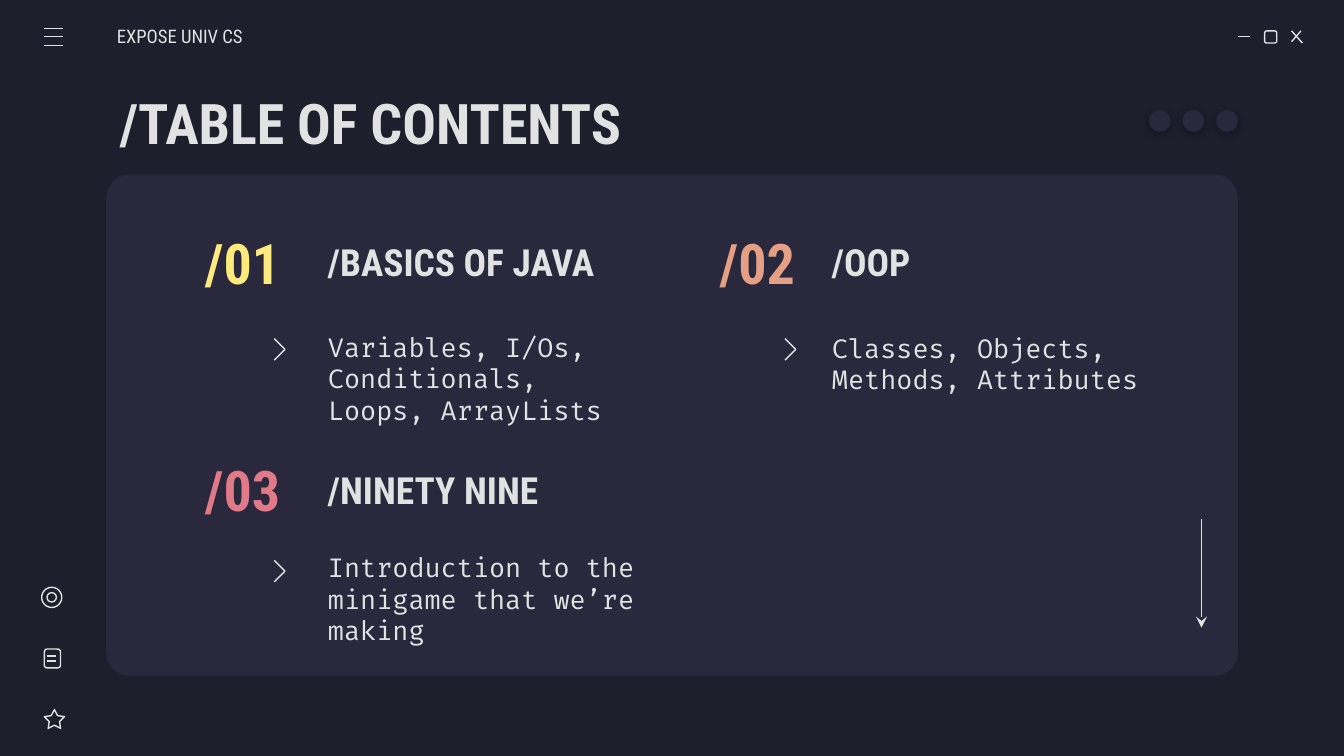
from dataclasses import dataclass

from lxml.etree import SubElement
from pptx import Presentation
from pptx.dml.color import RGBColor
from pptx.enum.shapes import MSO_CONNECTOR, MSO_SHAPE
from pptx.enum.text import MSO_ANCHOR, MSO_AUTO_SIZE, PP_ALIGN
from pptx.oxml.ns import qn
from pptx.util import Inches, Pt


@dataclass(frozen=True)
class Theme:
    background: str = "1E1E2C"
    panel: str = "29283D"
    light: str = "E2E2E2"
    yellow: str = "FFEA7D"
    orange: str = "E5A083"
    red: str = "E07A88"
    display: str = "Roboto Condensed"
    code: str = "Fira Code"
    large: float = 30
    heading: float = 20
    body: float = 14
    small: float = 10
    stroke: float = 0.75


THEME = Theme()


def write(box, text, size, font=THEME.display, color=THEME.light, bold=False,
          align=PP_ALIGN.LEFT, left_inset=0.1):
    frame = box.text_frame
    frame.word_wrap = True
    frame.auto_size = MSO_AUTO_SIZE.NONE
    frame.vertical_anchor = MSO_ANCHOR.MIDDLE
    frame.margin_left = Inches(left_inset)
    frame.margin_right = frame.margin_top = frame.margin_bottom = Inches(0.1)
    para = frame.paragraphs[0]
    para.alignment = align
    para.space_before = Pt(0)
    properties = para._p.get_or_add_pPr()
    properties.set("marL", "0")
    properties.set("indent", "0")
    SubElement(properties, qn("a:buNone"))
    span = para.add_run()
    span.text = text
    span.font.name = font
    span.font.size = Pt(size)
    span.font.bold = bold
    span.font.color.rgb = RGBColor.from_string(color)


class Canvas:
    def __init__(self, slide, theme):
        self.slide = slide
        self.theme = theme
        self.shapes = slide.shapes
        self.bodies = [box for box in slide.placeholders
                       if box.placeholder_format.idx != 0]
        slide.background.fill.solid()
        slide.background.fill.fore_color.rgb = RGBColor.from_string(theme.background)

    def place(self, box, left, top, width, height):
        box.left, box.top = Inches(left), Inches(top)
        box.width, box.height = Inches(width), Inches(height)
        return box

    def title(self, text, *at):
        write(self.place(self.shapes.title, *at), text, self.theme.large, bold=True)

    def body(self, text, *at, **style):
        write(self.place(self.bodies.pop(0), *at), text, **style)

    def label(self, text, *at, **style):
        box = self.shapes.add_textbox(*map(Inches, at))
        write(box, text, bold=True, **style)

    def stroke(self, item):
        item.line.color.rgb = RGBColor.from_string(self.theme.light)
        item.line.width = Pt(self.theme.stroke)

    def shape(self, kind, *at, fill=None, adjust=None):
        item = self.shapes.add_shape(kind, *map(Inches, at))
        item.shadow.inherit = False
        if adjust is not None:
            item.adjustments[0] = adjust
        if fill:
            item.fill.solid()
            item.fill.fore_color.rgb = RGBColor.from_string(fill)
            item.line.fill.background()
        else:
            item.fill.background()
            self.stroke(item)
        return item

    def panel(self, *at, adjust):
        item = self.shape(MSO_SHAPE.ROUNDED_RECTANGLE, *at,
                          fill=self.theme.panel, adjust=adjust)
        self.shapes._spTree.insert(2, item._element)  # behind the text

    def dot(self, left, top, size):
        item = self.shape(MSO_SHAPE.OVAL, left, top, size, size, fill=self.theme.panel)
        effects = item._element.spPr.find(qn("a:effectLst"))
        shadow = SubElement(effects, qn("a:outerShdw"), blurRad=str(Pt(4.5)),
                            dist=str(Pt(1.5)), dir="5400000", algn="bl",
                            rotWithShape="0")
        black = SubElement(shadow, qn("a:srgbClr"), val="000000")
        SubElement(black, qn("a:alpha"), val="30000")

    def line(self, *ends, arrow=False):
        item = self.shapes.add_connector(MSO_CONNECTOR.STRAIGHT, *map(Inches, ends))
        self.stroke(item)
        if arrow:
            SubElement(item.line._get_or_add_ln(), qn("a:tailEnd"), type="stealth")
        SubElement(item._element.spPr, qn("a:effectLst"))

    def chevron(self, left, top):
        width, height = 0.08, 0.16
        builder = self.shapes.build_freeform(Inches(left), Inches(top))
        builder.add_line_segments(
            [(Inches(left + width), Inches(top + height / 2)),
             (Inches(left), Inches(top + height))], close=False)
        item = builder.convert_to_shape()
        item.shadow.inherit = False
        item.fill.background()
        self.stroke(item)


deck = Presentation()
deck.slide_width = Inches(10)
deck.slide_height = deck.slide_width * 9 // 16
comparison_layout = deck.slide_layouts[4]
canvas = Canvas(deck.slides.add_slide(comparison_layout), THEME)

# Panel, title and header
canvas.panel(0.79, 1.3, 8.42, 3.73, adjust=0.047)
canvas.title("/TABLE OF CONTENTS", 0.79, 0.59, 8.43, 0.63)
canvas.body("EXPOSE UNIV CS", 0.87, 0.12, 1.17, 0.3,
            size=THEME.small, left_inset=0)

# Sections: number, heading, text, colour, number left, heading left, top, text top
sections = [
    ("/01", "/BASICS OF JAVA", "Variables, I/Os, Conditionals, Loops, ArrayLists",
     THEME.yellow, 1.35, 2.34, 1.67, 2.44),
    ("/02", "/OOP", "Classes, Objects, Methods, Attributes",
     THEME.orange, 5.18, 6.09, 1.67, 2.33),
    ("/03", "/NINETY NINE", "Introduction to the minigame that we’re making",
     THEME.red, 1.35, 2.34, 3.36, 4.08),
]
for number, heading, text, color, number_left, left, top, text_top in sections:
    canvas.label(number, number_left, top, 0.91, 0.56, size=THEME.large,
                 color=color, align=PP_ALIGN.CENTER)
    canvas.label(heading, left, top, 2.56, 0.56, size=THEME.heading)
    canvas.body(text, left, text_top, 2.56, 0.75, size=THEME.body, font=THEME.code)
for left, top in [(2.04, 2.52), (5.84, 2.52), (2.04, 4.17)]:
    canvas.chevron(left, top)

# Menu and window buttons
for top in (0.21, 0.27, 0.34):
    canvas.line(0.33, top, 0.47, top)
canvas.line(9.21, 0.27, 9.3, 0.27)
canvas.shape(MSO_SHAPE.ROUNDED_RECTANGLE, 9.41, 0.23, 0.09, 0.09)
canvas.line(9.61, 0.23, 9.69, 0.32)
canvas.line(9.68, 0.23, 9.61, 0.31)

# Side icons: target, page and star
for inset in (0, 0.04):
    size = 0.15 - 2 * inset
    canvas.shape(MSO_SHAPE.OVAL, 0.31 + inset, 4.37 + inset, size, size)
canvas.shape(MSO_SHAPE.ROUNDED_RECTANGLE, 0.33, 4.83, 0.12, 0.14)
for top in (4.88, 4.92):
    canvas.line(0.35, top, 0.42, top)
canvas.shape(MSO_SHAPE.STAR_5_POINT, 0.33, 5.28, 0.15, 0.14, adjust=0.254)

# Scroll arrow and dots
canvas.line(8.94, 3.86, 8.94, 4.67, arrow=True)
for index in range(3):
    canvas.dot(8.55 + 0.25 * index, 0.82, 0.16)

deck.save("out.pptx")
